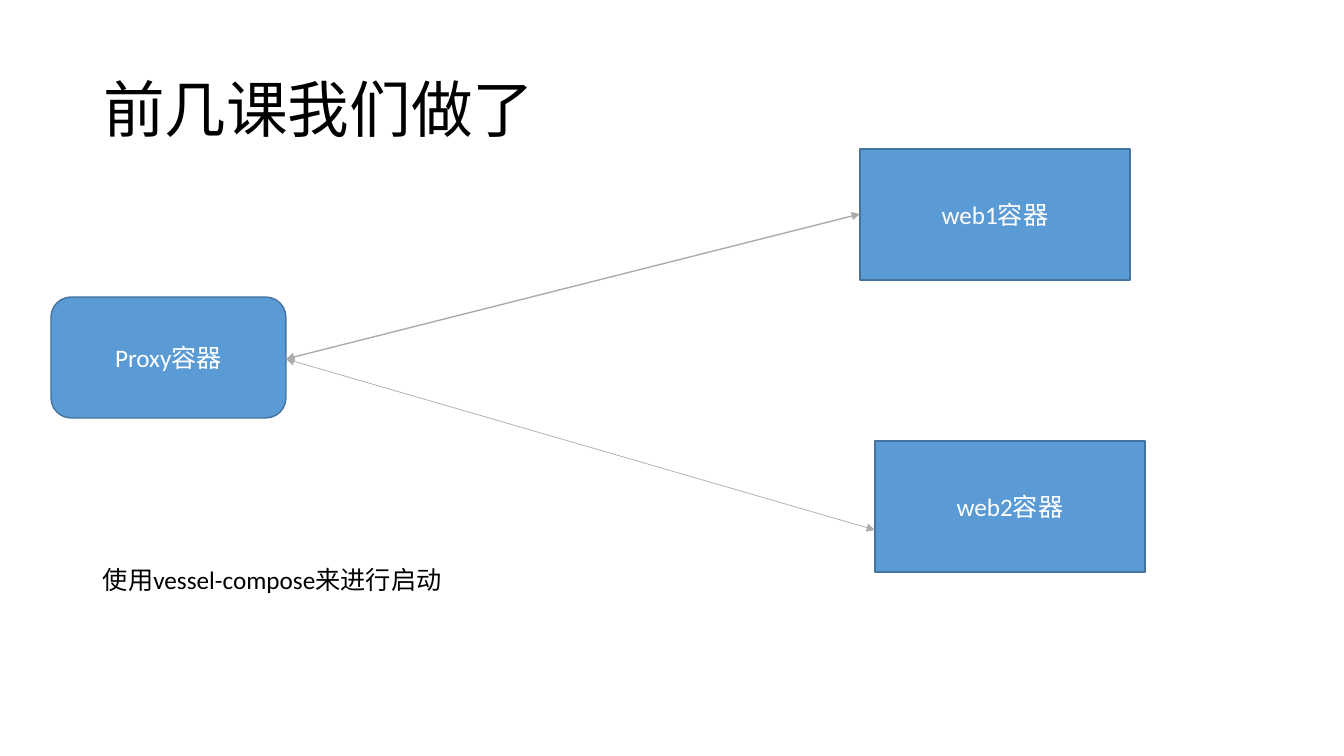
from dataclasses import dataclass

from lxml.etree import SubElement
from pptx import Presentation
from pptx.dml.color import RGBColor
from pptx.enum.shapes import MSO_CONNECTOR as Connector, MSO_SHAPE as Preset
from pptx.enum.text import MSO_ANCHOR as Anchor, MSO_AUTO_SIZE as AutoSize, PP_ALIGN as Align
from pptx.oxml.ns import qn
from pptx.util import Emu, Pt

EMU_PER_PIXEL = 914400 / 100.8
FONT = "Calibri"
BLACK, WHITE = "000000", "FFFFFF"
BLUE, DARK_BLUE, GREY = "5B9BD5", "43739E", "AFABAB"


@dataclass
class Container:
    label: str
    preset: Preset
    left: int
    top: int
    width: int
    height: int


@dataclass
class Link:
    end_x: int
    end_y: int
    weight: float


HUB = (286, 359)
CONTAINERS = [
    Container("Proxy容器", Preset.ROUNDED_RECTANGLE, 51, 297, 235, 121),
    Container("web1容器", Preset.RECTANGLE, 860, 149, 270, 131),
    Container("web2容器", Preset.RECTANGLE, 875, 441, 270, 131),
]
LINKS = [Link(860, 214, 1), Link(875, 530, 0.5)]


def px(pixels: int) -> Emu:
    return Emu(round(pixels * EMU_PER_PIXEL))


def rgb(value: str) -> RGBColor:
    return RGBColor.from_string(value)


def write(shape, text: str, size: int, color: str, align: Align, anchor: Anchor) -> None:
    frame = shape.text_frame
    frame.word_wrap = True
    frame.vertical_anchor = anchor
    paragraph = frame.paragraphs[0]
    paragraph.alignment = align
    run = paragraph.add_run()
    run.text = text
    run.font.size = Pt(size)
    run.font.name = FONT
    run.font.color.rgb = rgb(color)


def add_container(slide, container: Container) -> None:
    shape = slide.shapes.add_shape(
        container.preset, px(container.left), px(container.top),
        px(container.width), px(container.height))
    shape.shadow.inherit = False
    shape.fill.solid()
    shape.fill.fore_color.rgb = rgb(BLUE)
    shape.line.color.rgb = rgb(DARK_BLUE)
    shape.line.width = Pt(1)
    write(shape, container.label, 18, WHITE, Align.CENTER, Anchor.MIDDLE)


def add_link(slide, link: Link) -> None:
    connector = slide.shapes.add_connector(
        Connector.STRAIGHT, px(HUB[0]), px(HUB[1]), px(link.end_x), px(link.end_y))
    connector.line.color.rgb = rgb(GREY)
    connector.line.width = Pt(link.weight)
    properties = connector._element.spPr
    outline = properties.find(qn("a:ln"))
    for end in ("a:headEnd", "a:tailEnd"):
        SubElement(outline, qn(end), type="triangle")
    SubElement(properties, qn("a:effectLst"))


presentation = Presentation()
presentation.slide_width = px(1344)
presentation.slide_height = px(756)
slide = presentation.slides.add_slide(presentation.slide_layouts[5])

title = slide.shapes.title
title.left, title.top, title.width, title.height = px(93), px(40), px(1159), px(146)
title.text_frame.auto_size = AutoSize.NONE
write(title, "前几课我们做了", 44, BLACK, Align.LEFT, Anchor.MIDDLE)
title.text_frame.paragraphs[0].line_spacing = 0.9

for container in CONTAINERS:
    add_container(slide, container)
for link in LINKS:
    add_link(slide, link)

caption = slide.shapes.add_textbox(px(93), px(559), px(462), px(40))
write(caption, "使用vessel-compose来进行启动", 18, BLACK, Align.LEFT, Anchor.TOP)
caption.text_frame.auto_size = AutoSize.SHAPE_TO_FIT_TEXT

presentation.save("out.pptx")
